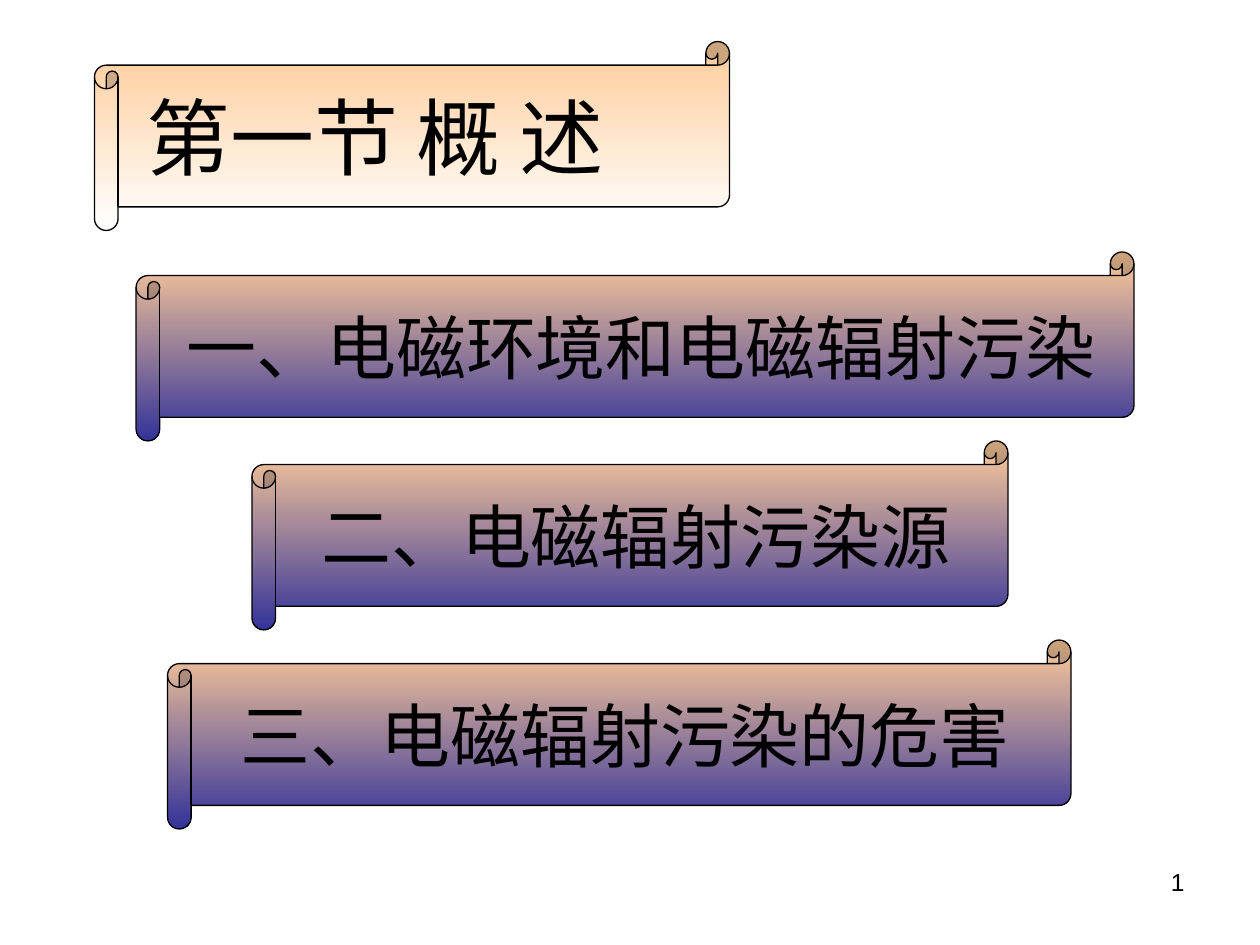
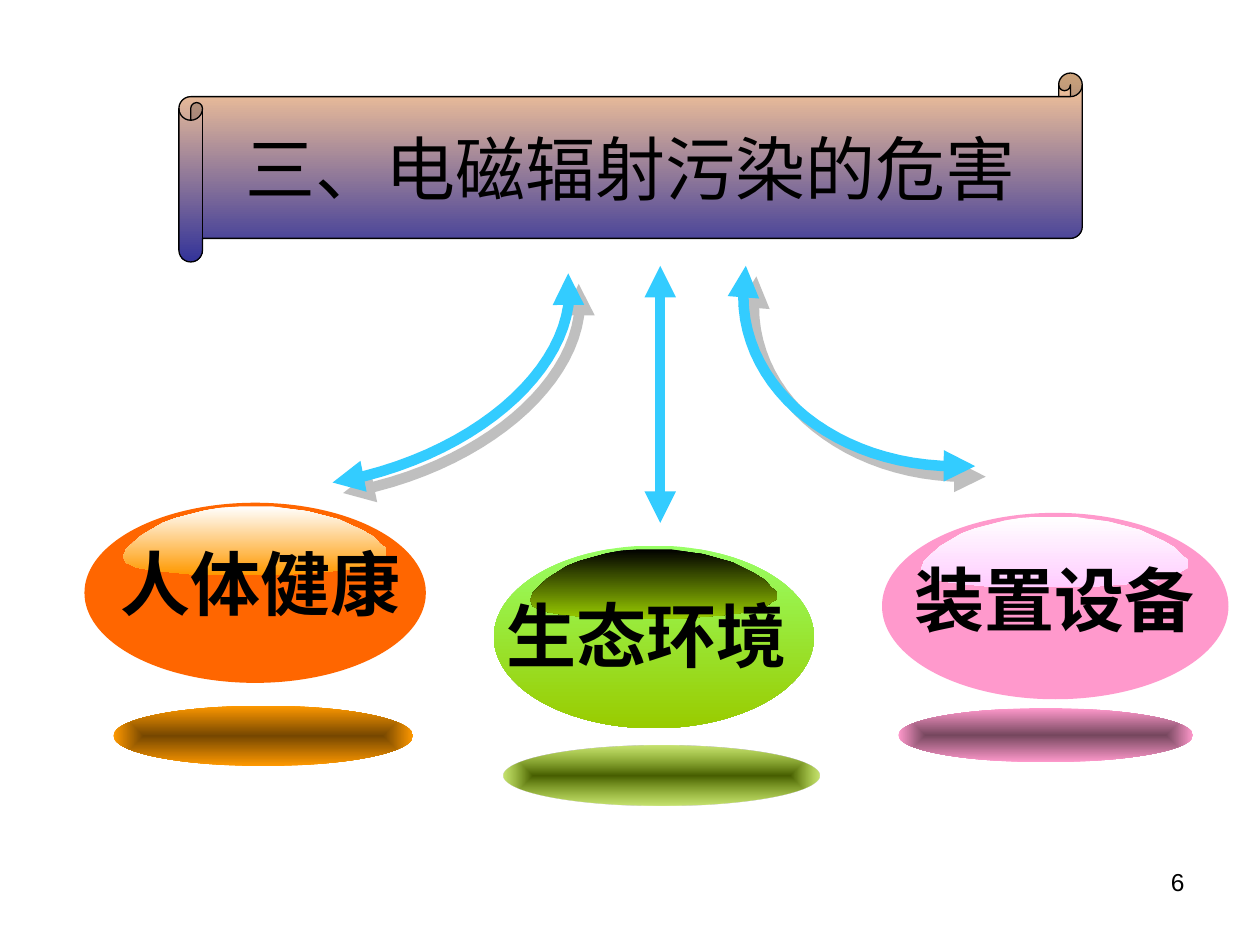
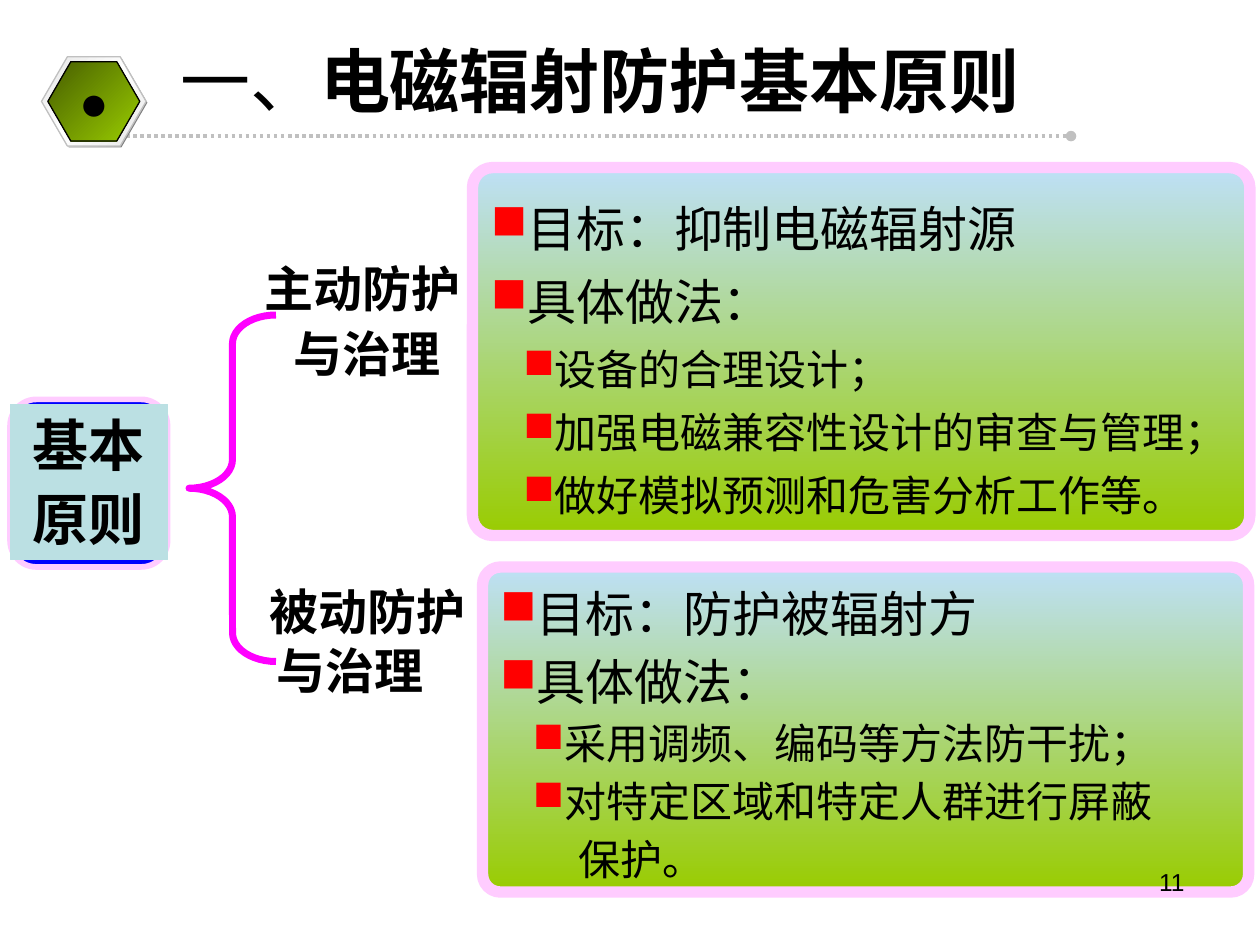
import pptx
import pptx.util
import pptx.dml.color
import pptx.enum.dml
import pptx.enum.shapes
import pptx.enum.text
import pptx.oxml.ns
from lxml import etree

Inches = pptx.util.Inches
Pt = pptx.util.Pt
SHAPE = pptx.enum.shapes.MSO_SHAPE
ALIGN = pptx.enum.text.PP_ALIGN
ANCHOR = pptx.enum.text.MSO_ANCHOR
qn = pptx.oxml.ns.qn

COLORS = {
    "black": "000000", "white": "FFFFFF", "peach": "FFCC99", "indigo": "333399",
    "sky": "33CCFF", "gray": "808080", "silver": "C0C0C0", "pearl": "E6E6E6",
    "orange": "FF6600", "amber": "FF9900", "brown": "764700",
    "mint": "99FF66", "lime": "99CC00", "olive": "475E00",
    "pink": "FF99CC", "plum": "76475E", "blush": "FFCCFF",
    "ice": "BEE0F7", "aqua": "BBE0E3", "blue": "0000FF",
    "magenta": "FF00FF", "red": "FF0000",
}
CJK = "Noto Sans CJK SC"
LATIN = "Arial"
GLOSS_OUTLINE = [
    (98, 56), (100, 61), (100, 67), (100, 72), (98, 76), (96, 81), (94, 85),
    (90, 87), (87, 91), (78, 95), (67, 98), (60, 100), (36, 100), (26, 99),
    (18, 96), (11, 93), (5, 89), (1, 82), (0, 73), (1, 63), (4, 52), (7, 42),
    (11, 33), (15, 24), (20, 17), (26, 11), (31, 6), (37, 2), (44, 0), (57, 0),
    (64, 4), (70, 7), (76, 13), (82, 19), (87, 28), (91, 35), (95, 44),
]


def rgb(name):
    return pptx.dml.color.RGBColor.from_string(COLORS[name])


def add_element(parent, tag, **attributes):
    element = etree.SubElement(parent, qn(tag))
    for key, value in attributes.items():
        element.set(key, str(value))
    return element


def add_color(parent, name, alpha=100):
    color = add_element(parent, "a:srgbClr", val=COLORS[name])
    if alpha < 100:
        add_element(color, "a:alpha", val=alpha * 1000)


def fill_gradient(shape, names, angle=90, from_center=False, alpha=100):
    shape.fill.gradient()
    gradient = shape._element.spPr.find(qn("a:gradFill"))
    for child in list(gradient):
        gradient.remove(child)
    stops = add_element(gradient, "a:gsLst")
    last = len(names) - 1
    for index, name in enumerate(names):
        stop = add_element(stops, "a:gs", pos=index * 100000 // last)
        add_color(stop, name, alpha if index == last else 100)
    if from_center:
        center = add_element(gradient, "a:path", path="rect")
        add_element(center, "a:fillToRect", l=50000, t=50000, r=50000, b=50000)
    else:
        add_element(gradient, "a:lin", ang=angle * 60000, scaled=0)


def style_shape(shape, fill=None, line=None, width=0.75, **gradient):
    shape.shadow.inherit = False
    if isinstance(fill, list):
        fill_gradient(shape, fill, **gradient)
    elif fill:
        shape.fill.solid()
        shape.fill.fore_color.rgb = rgb(fill)
    else:
        shape.fill.background()
    if line:
        shape.line.color.rgb = rgb(line)
        shape.line.width = Pt(width)
    else:
        shape.line.fill.background()


def add_shape(page, kind, box, fill=None, line=None, width=0.75, **gradient):
    shape = page.shapes.add_shape(kind, *map(Inches, box))
    style_shape(shape, fill, line, width, **gradient)
    return shape


def add_ends(shape, head, tail):
    line = shape.line._get_or_add_ln()
    for tag, kind in (("a:headEnd", head), ("a:tailEnd", tail)):
        if kind:
            add_element(line, tag, type=kind)


def add_line(page, start, end, color, width, head=None, tail=None, dash=None):
    line = page.shapes.add_connector(
        pptx.enum.shapes.MSO_CONNECTOR.STRAIGHT, *map(Inches, start + end))
    line.line.color.rgb = rgb(color)
    line.line.width = Pt(width)
    if dash:
        line.line.dash_style = dash
    add_ends(line, head, tail)
    add_element(line._element.spPr, "a:effectLst")


def style_para(para, size, bold=False, align=ALIGN.LEFT, font=CJK):
    para.alignment = align
    para.font.size = Pt(size)
    para.font.bold = bold
    para.font.color.rgb = rgb("black")
    para.font.name = font
    defaults = para._p.get_or_add_pPr().find(qn("a:defRPr"))
    add_element(defaults, "a:ea", typeface=font)


def indent_para(para, indent, bullet=False):
    properties = para._p.get_or_add_pPr()
    properties.set("marL", str(Inches(indent)))
    properties.set("indent", "0")
    if bullet:
        add_color(add_element(properties, "a:buClr"), "red")
        add_element(properties, "a:buChar", char="■")
    else:
        add_element(properties, "a:buNone")


def write_lines(frame, lines, size, bold=False, align=ALIGN.LEFT, font=CJK,
                gap=0, indents=None):
    for index, line in enumerate(lines):
        para = frame.paragraphs[0] if index == 0 else frame.add_paragraph()
        para.text = line
        if index:
            para.space_before = Pt(gap)
        if indents:
            indent_para(para, indents[index])
        style_para(para, size, bold, align, font)


def add_text(page, box, lines, size, **style):
    frame = page.shapes.add_textbox(*map(Inches, box)).text_frame
    frame.word_wrap = True
    write_lines(frame, lines, size, **style)


def place_title(page, box, spans, size, align, anchor):
    title = page.shapes.title
    title.left, title.top, title.width, title.height = map(Inches, box)
    page.shapes._spTree.append(title._element)
    frame = title.text_frame
    frame.auto_size = pptx.enum.text.MSO_AUTO_SIZE.NONE
    frame.word_wrap = False
    frame.vertical_anchor = anchor
    para = frame.paragraphs[0]
    for text, bold in spans:
        span = para.add_run()
        span.text = text
        if bold:
            span.font.bold = True
    style_para(para, size, align=align)


def add_scroll(page, box, text=None, end_color="indigo"):
    scroll = add_shape(page, SHAPE.HORIZONTAL_SCROLL, box,
                       ["peach", end_color], "black")
    if text:
        frame = scroll.text_frame
        frame.word_wrap = False
        frame.vertical_anchor = ANCHOR.MIDDLE
        write_lines(frame, [text], 40, align=ALIGN.CENTER)


def add_page(deck, number):
    page = deck.slides.add_slide(deck.slide_layouts[5])
    return page, number


def add_number(page, number):
    add_text(page, (7.17, 6.83, 2.33, 0.52), [str(number)], 14,
             align=ALIGN.RIGHT, font=LATIN)


def add_outline(page, points, closed):
    points = [(Inches(x), Inches(y)) for x, y in points]
    builder = page.shapes.build_freeform(*points[0])
    builder.add_line_segments(points[1:], close=closed)
    return builder.convert_to_shape()


def add_glossy_oval(page, box, fill, gloss):
    left, top, width, height = box
    add_shape(page, SHAPE.OVAL, box, fill)
    gloss_left, gloss_top = left + width * 0.114, top + 0.03
    gloss_width, gloss_height = width * 0.77, height * 0.38
    points = [(gloss_left + gloss_width * x / 100,
               gloss_top + gloss_height * y / 100) for x, y in GLOSS_OUTLINE]
    style_shape(add_outline(page, points, True), gloss)


def bezier(start, first, second, end, steps=24):
    for index in range(steps + 1):
        t = index / steps
        weights = ((1 - t) ** 3, 3 * t * (1 - t) ** 2, 3 * t * t * (1 - t), t ** 3)
        yield tuple(sum(weight * point[axis] for weight, point in
                        zip(weights, (start, first, second, end)))
                    for axis in (0, 1))


def add_curved_arrow(page, *curves):
    points = []
    for curve in curves:
        points += list(bezier(*curve))[1 if points else 0:]
    arrow = add_outline(page, points, False)
    style_shape(arrow, line="sky", width=6)
    add_ends(arrow, "triangle", "triangle")
    effects = arrow._element.spPr.find(qn("a:effectLst"))
    shadow = add_element(effects, "a:outerShdw", dist=Pt(8.5), dir=45 * 60000,
                         algn="ctr", rotWithShape=0)
    add_color(shadow, "gray", 50)


def add_badge(page, left, top):
    add_shape_list = [
        ((left + 0.01, top + 0.01, 0.83, 0.71), "gray", None),
        ((left, top, 0.83, 0.71), ["pearl", "white", "pearl"], "silver"),
        ((left + 0.05, top + 0.04, 0.73, 0.63), ["olive", "lime"], "black"),
    ]
    for box, fill, line in add_shape_list:
        hexagon = add_shape(page, SHAPE.HEXAGON, box, fill, line,
                            **({"angle": 45} if isinstance(fill, list) else {}))
        hexagon.adjustments[0] = 0.29
    frame = hexagon.text_frame
    frame.word_wrap = False
    frame.margin_left = frame.margin_right = 0
    frame.margin_top = frame.margin_bottom = 0
    frame.vertical_anchor = ANCHOR.MIDDLE
    write_lines(frame, ["●"], 28, bold=True, align=ALIGN.CENTER, font=LATIN)


def add_panel(page, box, spacing, items):
    panel = add_shape(page, SHAPE.ROUNDED_RECTANGLE, box, ["ice", "lime"],
                      "blush", 6.5)
    panel.adjustments[0] = 0.055
    frame = panel.text_frame
    frame.word_wrap = True
    frame.margin_right = 0
    frame.vertical_anchor = ANCHOR.MIDDLE
    levels = {"main": (0, True, 28), "sub": (0.26, True, 24),
              "rest": (0.62, False, 24)}
    for index, (level, text) in enumerate(items):
        indent, bullet, size = levels[level]
        para = frame.paragraphs[0] if index == 0 else frame.add_paragraph()
        para.text = text
        para.line_spacing = spacing
        indent_para(para, indent, bullet)
        style_para(para, size)


def add_root(page, left, top):
    add_shape(page, SHAPE.FLOWCHART_ALTERNATE_PROCESS, (left, top, 1.25, 1.33),
              "blue", "blush", 3.25)
    label = add_shape(page, SHAPE.RECTANGLE, (left, top + 0.04, 1.25, 1.23),
                      "aqua", "aqua", 0.62)
    label.text_frame.vertical_anchor = ANCHOR.TOP
    label.text_frame.word_wrap = True
    write_lines(label.text_frame, ["基本", "原则"], 32, bold=True,
                align=ALIGN.CENTER, gap=4)


def build_overview(deck):
    page, number = add_page(deck, 1)
    add_scroll(page, (0.75, 0.33, 5.04, 1.5), end_color="white")
    place_title(page, (1.06, 0.33, 4.5, 1.5), [("第一节 概 述", False)], 48,
                ALIGN.LEFT, ANCHOR.MIDDLE)
    for left, top, width, text in (
            (1.08, 2, 7.92, "一、电磁环境和电磁辐射污染"),
            (2, 3.5, 6, "二、电磁辐射污染源"),
            (1.33, 5.08, 7.17, "三、电磁辐射污染的危害")):
        add_scroll(page, (left, top, width, 1.5), text)
    add_number(page, number)


def build_hazards(deck):
    page, number = add_page(deck, 6)
    scroll_box = (1.42, 0.58, 7.17, 1.5)
    add_scroll(page, scroll_box)
    place_title(page, scroll_box, [("三、电磁辐射污染的危害", False)], 40,
                ALIGN.CENTER, ANCHOR.MIDDLE)
    hazards = [
        ("人体健康", (0.67, 3.99, 2.71, 1.43), "orange", ["white", "amber"],
         (0.9, 5.6, 2.38, 0.48), ["brown", "amber"], 100, (0.86, 4.24)),
        ("生态环境", (3.92, 4.33, 2.54, 1.45), ["mint", "lime"], ["black", "lime"],
         (4, 5.92, 2.5, 0.47), ["olive", "lime"], 56, (3.92, 4.65)),
        ("装置设备", (7, 4.07, 2.75, 1.48), "pink", ["white", "blush"],
         (7.13, 5.62, 2.34, 0.43), ["plum", "pink"], 100, (7.16, 4.37)),
    ]
    for text, oval, fill, gloss, base, base_fill, alpha, corner in hazards:
        add_shape(page, SHAPE.OVAL, base, base_fill, from_center=True, alpha=alpha)
        add_glossy_oval(page, oval, fill, gloss)
        add_text(page, corner + (2.59, 0.84), [text], 40, bold=True)
    add_line(page, (5.24, 2.11), (5.24, 4.15), "sky", 6, "triangle", "triangle")
    add_curved_arrow(page,
                     ((7.74, 3.7), (7.69, 3.7), (7.64, 3.7), (7.58, 3.7)),
                     ((7.58, 3.7), (6.65, 3.7), (5.9, 3.1), (5.9, 2.35)),
                     ((5.9, 2.35), (5.9, 2.27), (5.91, 2.19), (5.92, 2.11)))
    add_curved_arrow(page,
                     ((4.51, 2.17), (4.62, 2.85), (3.85, 3.58), (2.76, 3.81)),
                     ((2.76, 3.81), (2.72, 3.82), (2.68, 3.82), (2.64, 3.83)))
    add_number(page, number)


def build_principles(deck):
    page, number = add_page(deck, 11)
    add_line(page, (1, 1.08), (8.5, 1.08), "silver", 2, tail="oval",
             dash=pptx.enum.dml.MSO_LINE.ROUND_DOT)
    add_badge(page, 0.33, 0.45)
    place_title(page, (1.33, 0.25, 7, 0.77),
                [("一、", False), ("电磁辐射防护基本原则", True)], 40,
                ALIGN.LEFT, ANCHOR.TOP)
    add_panel(page, (3.75, 1.33, 6.17, 2.92), 1.25, [
        ("main", "目标：抑制电磁辐射源"),
        ("main", "具体做法："),
        ("sub", "设备的合理设计；"),
        ("sub", "加强电磁兼容性设计的审查与管理；"),
        ("sub", "做好模拟预测和危害分析工作等。")])
    brace = add_shape(page, SHAPE.LEFT_BRACE, (1.5, 2.5, 0.69, 2.75),
                      line="magenta", width=4)
    brace.adjustments[0] = 0.33
    add_text(page, (2, 2, 1.83, 1.1), ["主动防护", "与治理"], 28, bold=True,
             gap=3.5, indents=(0, 0.23))
    add_text(page, (2, 4.57, 1.83, 1.04), ["被动防护", "与治理"], 28, bold=True,
             indents=(0.04, 0.1))
    add_panel(page, (3.83, 4.5, 6.08, 2.58), 1.15, [
        ("main", "目标：防护被辐射方"),
        ("main", "具体做法："),
        ("sub", "采用调频、编码等方法防干扰；"),
        ("sub", "对特定区域和特定人群进行屏蔽"),
        ("rest", "保护。")])
    add_root(page, 0.08, 3.17)
    add_number(page, number)


def main():
    deck = pptx.Presentation()
    deck.slide_width = Inches(10)
    deck.slide_height = Inches(7.5)
    build_overview(deck)
    build_hazards(deck)
    build_principles(deck)
    deck.save("out.pptx")


if __name__ == "__main__":
    main()
